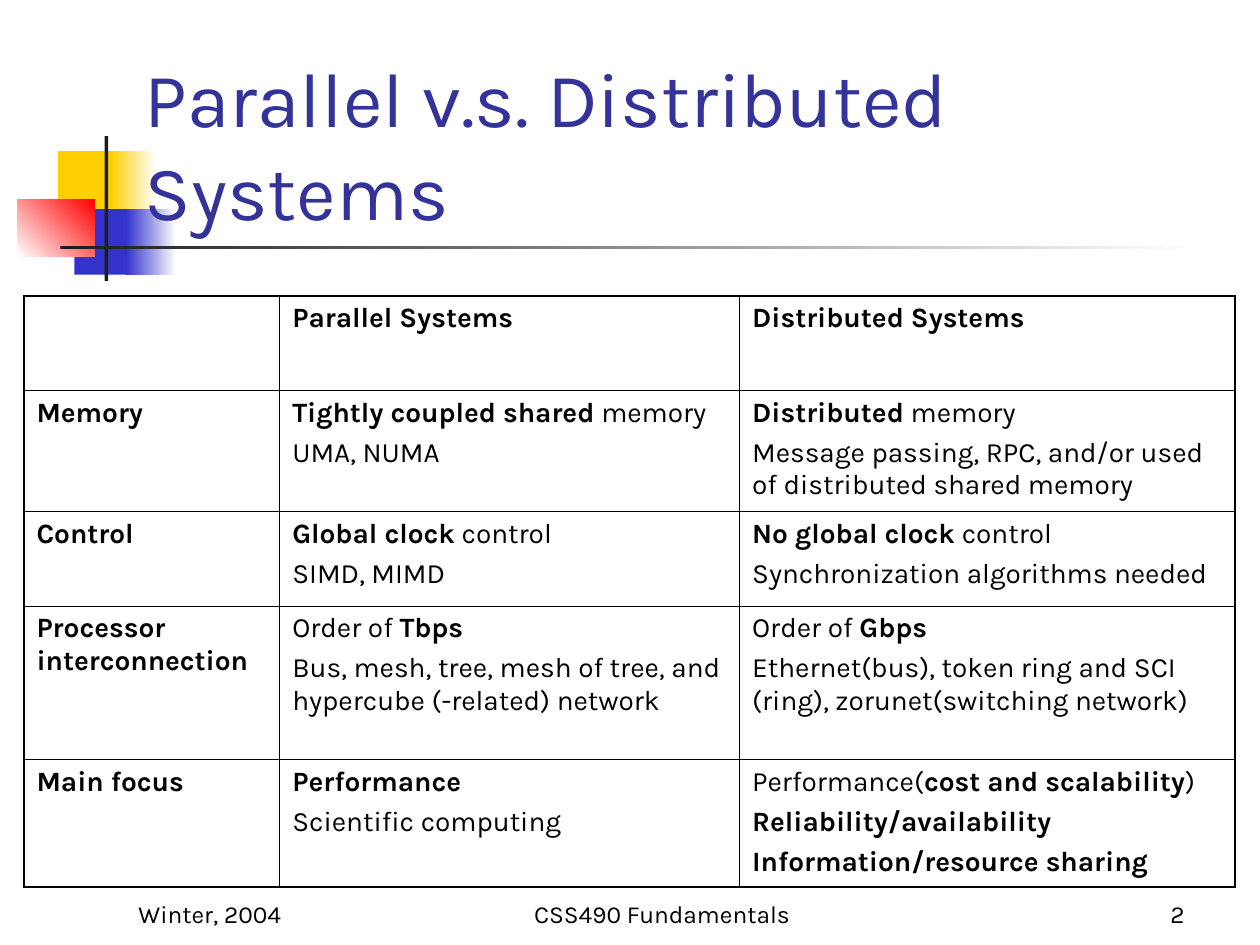
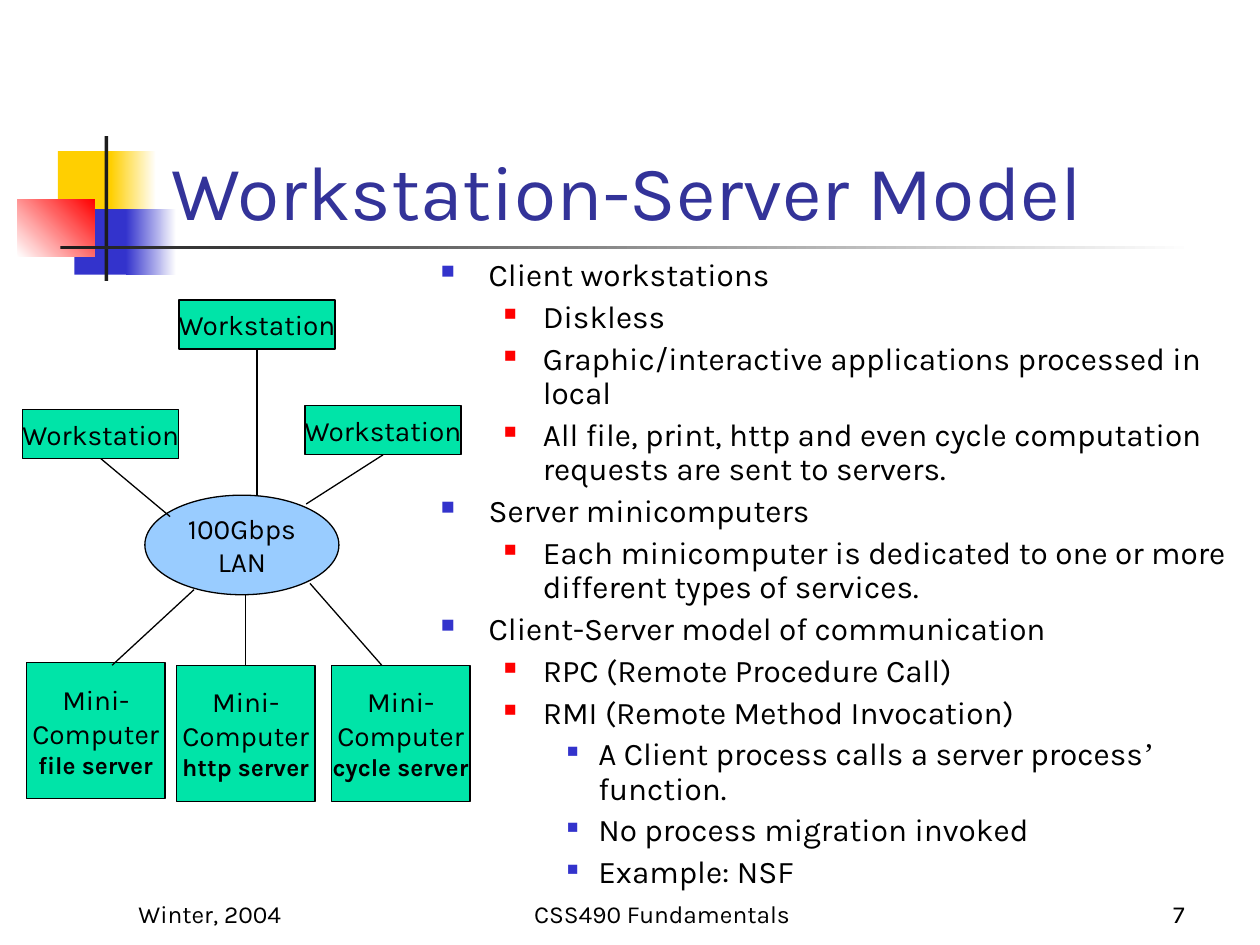
from dataclasses import dataclass
from itertools import groupby
from typing import Any, NamedTuple

from lxml.etree import SubElement
from pptx import Presentation
from pptx.dml.color import RGBColor as Rgb
from pptx.enum.shapes import MSO_CONNECTOR as Link, MSO_SHAPE as Kind
from pptx.enum.text import MSO_ANCHOR as Anchor, MSO_AUTO_SIZE as Fit, PP_ALIGN as Align
from pptx.oxml import parse_xml
from pptx.oxml.ns import nsdecls, qn
from pptx.util import Emu, Pt

SCALE = 9144  # 100 px to the inch


@dataclass(frozen=True)
class Theme:
    font: str = "Karla"
    quote: str = "Times New Roman"
    ink: str = "000000"
    title: str = "333399"
    white: str = "FFFFFF"
    gold: str = "FFCF01"
    blue: str = "3333CC"
    red: str = "FF0000"
    dark: str = "1C1C1C"
    green: str = "00E4A8"
    sky: str = "99CCFF"
    head: int = 44
    body: int = 18
    label: int = 16
    small: int = 14
    thin: float = 0.45
    thick: float = 1.08
    line: float = 0.75


THEME = Theme()


class Box(NamedTuple):
    left: int
    top: int
    width: int
    height: int


class Block(NamedTuple):
    box: Box
    start: str
    end: str | None = None
    angle: int = 0


class Level(NamedTuple):
    margin: int
    hang: int
    colour: str
    size: int


class Node(NamedTuple):
    box: Box
    lines: list[str]
    fill: str = THEME.green
    kind: Kind = Kind.RECTANGLE


class Wire(NamedTuple):
    start: tuple[int, int]
    end: tuple[int, int]
    node: str = ""
    site: int = 0


BLOCKS = [
    Block(Box(46, 120, 48, 52), THEME.gold),
    Block(Box(88, 120, 36, 52), THEME.gold, THEME.white),
    Block(Box(59, 166, 46, 52), THEME.blue),
    Block(Box(100, 166, 40, 52), THEME.blue, THEME.white),
    Block(Box(14, 158, 61, 46), THEME.white, THEME.red, 45),
    Block(Box(83, 108, 3, 115), THEME.dark),
    Block(Box(48, 195, 900, 3), THEME.dark, THEME.white),
]

# Asterisks enclose bold words.
COLS = [203, 365, 393]
ROWS = [75, 96, 75, 122, 101]
CELLS = [
    [[], ["*Parallel Systems*"], ["*Distributed Systems*"]],
    [["*Memory*"],
     ["*Tightly coupled shared* memory", "UMA, NUMA"],
     ["*Distributed* memory",
      "Message passing, RPC, and/or used of distributed shared memory"]],
    [["*Control*"],
     ["*Global clock* control", "SIMD, MIMD"],
     ["*No global clock* control", "Synchronization algorithms needed"]],
    [["*Processor interconnection*"],
     ["Order of *Tbps*",
      "Bus, mesh, tree, mesh of tree, and hypercube (-related) network"],
     ["Order of *Gbps*",
      "Ethernet(bus), token ring and SCI (ring), zorunet(switching network)"]],
    [["*Main focus*"],
     ["*Performance*", "Scientific computing"],
     ["Performance(*cost and scalability*)", "*Reliability/availability*",
      "*Information/resource sharing*"]],
]

LEVELS = [
    Level(38, 38, THEME.blue, 60),
    Level(81, 31, THEME.red, 55),
    Level(125, 25, THEME.blue, 50),
]
POINTS = [
    (0, "Client workstations"),
    (1, "Diskless"),
    (1, "Graphic/interactive applications processed in local"),
    (1, "All file, print, http and even cycle computation requests are sent to servers."),
    (0, "Server minicomputers"),
    (1, "Each minicomputer is dedicated to one or more different types of services."),
    (0, "Client-Server model of communication"),
    (1, "RPC (Remote Procedure Call)"),
    (1, "RMI (Remote Method Invocation)"),
    (2, "A Client process calls a server process’ function."),
    (2, "No process migration invoked"),
    (2, "Example: NSF"),
]

NODES = {"lan": Node(Box(115, 393, 154, 79), ["100Gbps", "LAN"], THEME.sky, Kind.OVAL)}
for name, left, top in [("upper", 142, 238), ("left", 18, 325), ("right", 242, 322)]:
    NODES[name] = Node(Box(left, top, 124, 39), ["Workstation"])
for name, left, top in [("file", 21, 526), ("http", 140, 528), ("cycle", 263, 528)]:
    NODES[name] = Node(Box(left, top, 110, 108), ["Mini-", "Computer", f"*{name} server*"])

WIRES = [
    Wire((154, 468), (89, 528)),
    Wire((195, 472), (195, 528), "http", 0),
    Wire((246, 463), (303, 528)),
    Wire((204, 394), (204, 277), "upper", 2),
    Wire((135, 410), (80, 364), "left", 2),
    Wire((243, 400), (304, 361), "right", 2),
]


def px(*lengths: int) -> list[Emu]:
    return [Emu(n * SCALE) for n in lengths]


def put(item: Any, **values: Any) -> None:
    for key, value in values.items():
        setattr(item, key, value)


def write(para: Any, text: str, size: int, colour: str = THEME.ink,
          strong: int | None = None) -> None:
    """Add runs; words between asterisks are bold, in size strong if given."""
    for i, part in enumerate(text.split("*")):
        bold = i % 2 == 1
        for quote, chars in groupby(part, lambda c: c == "’"):
            run = para.add_run()
            run.text = "".join(chars)
            put(run.font, name=THEME.quote if quote else THEME.font, bold=bold,
                size=Pt(strong if bold and strong else size))
            run.font.color.rgb = Rgb.from_string(colour)


def fill(frame: Any, lines: list[str], size: int, gap: float = 0,
         align: Align = Align.LEFT, strong: int | None = None) -> None:
    for i, line in enumerate(lines):
        para = frame.add_paragraph() if i else frame.paragraphs[0]
        put(para, alignment=align, space_before=Pt(gap if i else 0))
        write(para, line, size, strong=strong)


def paint(slide: Any, block: Block) -> None:
    shape = slide.shapes.add_shape(Kind.RECTANGLE, *px(*block.box))
    shape.shadow.inherit = False
    shape.line.fill.background()
    if block.end is None:
        shape.fill.solid()
        shape.fill.fore_color.rgb = Rgb.from_string(block.start)
        return
    shape.fill.gradient()
    shape.fill.gradient_angle = block.angle
    for stop, colour in zip(shape.fill.gradient_stops, (block.start, block.end)):
        stop.color.rgb = Rgb.from_string(colour)


def add_base(deck: Any, title: str, box: Box, number: str) -> Any:
    """Add a slide with the shared blocks, footers and title."""
    slide = deck.slides.add_slide(deck.slide_layouts[5])
    for block in BLOCKS:
        paint(slide, block)
    for left, width, text, align in [(100, 208, "Winter, 2004", Align.LEFT),
                                     (367, 317, "CSS490 Fundamentals", Align.CENTER),
                                     (742, 208, number, Align.RIGHT)]:
        frame = slide.shapes.add_textbox(*px(left, 692, width, 50)).text_frame
        put(frame, word_wrap=True, vertical_anchor=Anchor.BOTTOM)
        fill(frame, [text], THEME.small, align=align)
    head = slide.shapes.title
    put(head, **dict(zip(Box._fields, px(*box))))
    frame = head.text_frame
    put(frame, word_wrap=True, auto_size=Fit.NONE, vertical_anchor=Anchor.BOTTOM)
    frame.paragraphs[0].alignment = Align.LEFT
    write(frame.paragraphs[0], title, THEME.head, THEME.title)
    slide.shapes.element.append(head.element)  # in front of the blocks
    return slide


def edge(cell: Any, outer: dict[str, bool]) -> None:
    props = cell._tc.get_or_add_tcPr()
    for i, (side, thick) in enumerate(outer.items()):
        width = Pt(THEME.thick if thick else THEME.thin)
        props.insert(i, parse_xml(
            f'<a:ln{side} {nsdecls("a")} w="{width}"><a:solidFill>'
            f'<a:srgbClr val="{THEME.ink}"/></a:solidFill></a:ln{side}>'))


def add_grid(slide: Any) -> None:
    box = Box(19, 235, sum(COLS), sum(ROWS))
    table = slide.shapes.add_table(len(ROWS), len(COLS), *px(*box)).table
    put(table, first_row=False, horz_banding=False)
    for col, width in zip(table.columns, px(*COLS)):
        col.width = width
    for row, height in zip(table.rows, px(*ROWS)):
        row.height = height
    for r, line in enumerate(CELLS):
        for c, texts in enumerate(line):
            cell = table.cell(r, c)
            cell.fill.background()
            fill(cell.text_frame, texts, THEME.label, gap=4)
            edge(cell, {"L": c == 0, "R": c == len(COLS) - 1,
                        "T": r == 0, "B": r == len(ROWS) - 1})


def add_points(slide: Any) -> None:
    frame = slide.shapes.add_textbox(*px(340, 201, 660, 517)).text_frame
    frame.word_wrap = True
    for i, (depth, text) in enumerate(POINTS):
        level = LEVELS[depth]
        para = frame.add_paragraph() if i else frame.paragraphs[0]
        props = para._p.get_or_add_pPr()
        margin, hang = px(level.margin, -level.hang)
        props.set("marL", str(margin))
        props.set("indent", str(hang))
        tint = SubElement(props, qn("a:buClr"))
        SubElement(tint, qn("a:srgbClr"), val=level.colour)
        SubElement(props, qn("a:buSzPct"), val=str(level.size * 1000))
        SubElement(props, qn("a:buChar"), char="■")
        put(para, level=depth, line_spacing=0.9, space_before=Pt(4.5 if i else 0))
        write(para, text, THEME.body)


def add_node(slide: Any, node: Node) -> Any:
    shape = slide.shapes.add_shape(node.kind, *px(*node.box))
    shape.shadow.inherit = False
    shape.fill.solid()
    shape.fill.fore_color.rgb = Rgb.from_string(node.fill)
    shape.line.color.rgb = Rgb.from_string(THEME.ink)
    shape.line.width = Pt(THEME.line)
    put(shape.text_frame, word_wrap=False, vertical_anchor=Anchor.MIDDLE)
    fill(shape.text_frame, node.lines, THEME.label, align=Align.CENTER, strong=THEME.small)
    return shape


def add_net(slide: Any) -> None:
    shapes = {name: add_node(slide, node) for name, node in NODES.items()}
    for wire in WIRES:
        line = slide.shapes.add_connector(Link.STRAIGHT, *px(*wire.start, *wire.end))
        line.line.color.rgb = Rgb.from_string(THEME.ink)
        line.line.width = Pt(THEME.line)
        SubElement(line.element.spPr, qn("a:effectLst"))
        if wire.node:
            line.end_connect(shapes[wire.node], wire.site)


def main() -> None:
    deck = Presentation()
    deck.slide_width, deck.slide_height = px(1000, 750)
    add_grid(add_base(deck, "Parallel v.s. Distributed Systems", Box(105, 67, 895, 125), "2"))
    model = add_base(deck, "Workstation-Server Model", Box(126, 67, 852, 125), "7")
    add_points(model)
    add_net(model)
    deck.save("out.pptx")


if __name__ == "__main__":
    main()
